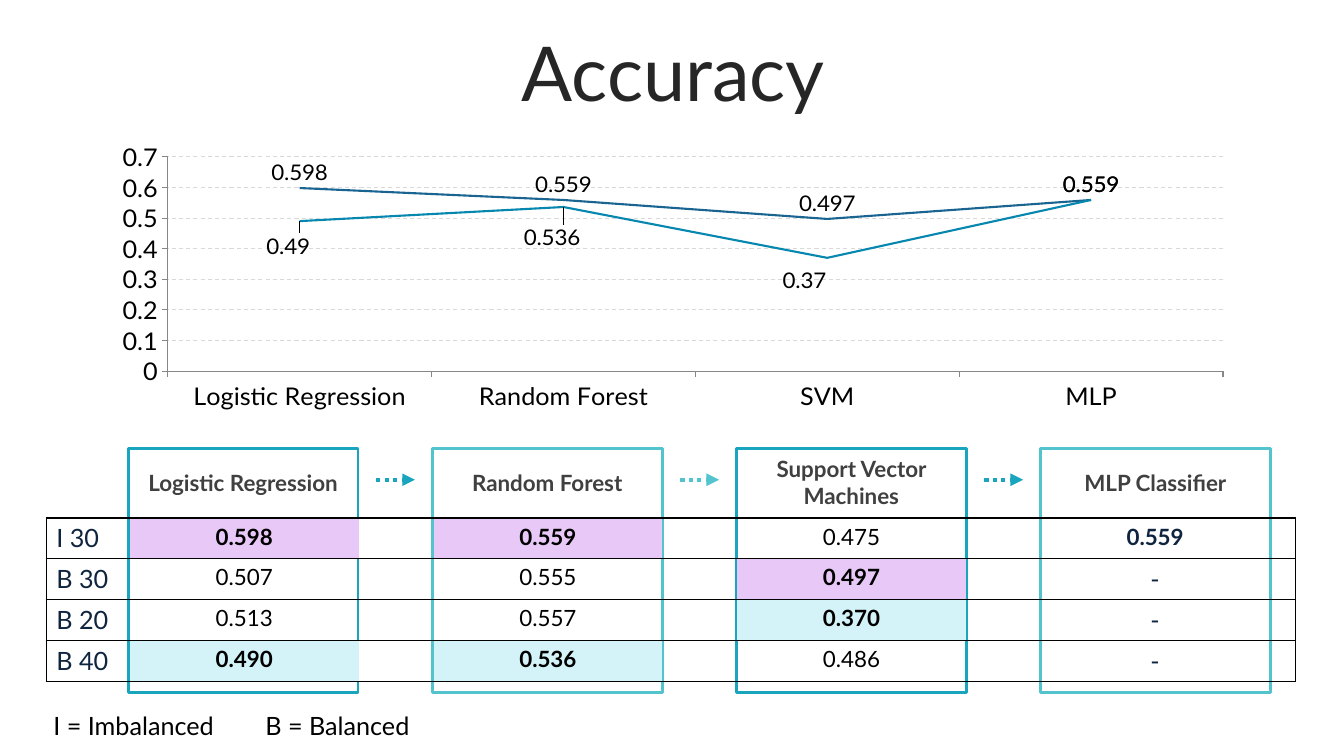
from dataclasses import dataclass

from lxml.etree import SubElement
from pptx import Presentation
from pptx.chart.data import CategoryChartData
from pptx.dml.color import RGBColor
from pptx.enum.chart import XL_CHART_TYPE as CT, XL_LABEL_POSITION as LP, XL_TICK_MARK as TM
from pptx.enum.dml import MSO_LINE
from pptx.enum.shapes import MSO_CONNECTOR, MSO_SHAPE
from pptx.enum.text import MSO_ANCHOR, PP_ALIGN
from pptx.oxml import parse_xml
from pptx.oxml.ns import nsdecls, qn
from pptx.util import Pt


@dataclass(frozen=True)
class Theme:
    font: str = "Lato"
    title: str = "262626"
    label: str = "404040"
    black: str = "000000"
    navy: str = "0F243E"
    grid: str = "D9D9D9"
    axis: str = "878787"
    best: str = "E8C8F6"
    worst: str = "D3F3F8"
    cards: tuple = ("19A5BE", "53C3CD")
    lines: tuple = ("196491", "0587AF")
    title_size: int = 54
    body_size: int = 18
    small_size: int = 16


T = Theme()
CARD_W, CARD_STEP, HEAD_H = 164.2, 217.2, 48
MODELS = ["Logistic Regression", "Random Forest", "Support Vector Machines", "MLP Classifier"]
SCORES = {
    "I 30": ["0.598", "0.559", "0.475", "0.559"],
    "B 30": ["0.507", "0.555", "0.497", "-"],
    "B 20": ["0.513", "0.557", "0.370", "-"],
    "B 40": ["0.490", "0.536", "0.486", "-"],
}


def rgb(value):
    return RGBColor.from_string(value)


def style_font(font, size, color, bold=False):
    for name, value in {"name": T.font, "size": Pt(size), "bold": bold}.items():
        setattr(font, name, value)
    font.color.rgb = rgb(color)


def write(tf, text, size, color, bold=False, align=PP_ALIGN.LEFT, tab=None):
    p = tf.paragraphs[0]
    if tab:
        tabs = SubElement(p._p.get_or_add_pPr(), qn("a:tabLst"))
        SubElement(tabs, qn("a:tab"), pos=str(Pt(tab)), algn="l")
    p.alignment = align
    r = p.add_run()
    r.text = text
    style_font(r.font, size, color, bold)
    return p


def place(sp, x, y, w, h):
    for name, value in {"left": x, "top": y, "width": w, "height": h}.items():
        setattr(sp, name, Pt(value))


def add_text(s, x, y, w, h, text, size, color, anchor=MSO_ANCHOR.TOP, **fmt):
    tf = s.shapes.add_textbox(Pt(x), Pt(y), Pt(w), Pt(h)).text_frame
    tf.word_wrap = True
    tf.vertical_anchor = anchor
    write(tf, text, size, color, **fmt)


def add_title(s, x, y, w, h):
    sp = s.shapes.title
    place(sp, x, y, w, h)
    sp.text_frame.vertical_anchor = MSO_ANCHOR.MIDDLE
    p = write(sp.text_frame, "Accuracy", T.title_size, T.title, align=PP_ALIGN.CENTER)
    p.line_spacing = 0.9


def manual_layout(x, y, w=None, h=None):
    size = f'<c:w val="{w}"/><c:h val="{h}"/>' if w else ""
    mode = ('<c:layoutTarget val="inner"/><c:xMode val="edge"/><c:yMode val="edge"/>'
            if w else "")
    return parse_xml(f'<c:layout {nsdecls("c")}><c:manualLayout>{mode}<c:x val="{x}"/>'
                     f'<c:y val="{y}"/>{size}</c:manualLayout></c:layout>')


def style_axes(chart):
    for axis in (chart.category_axis, chart.value_axis):
        axis.major_tick_mark = TM.OUTSIDE
        axis.minor_tick_mark = TM.NONE
        axis.format.line.color.rgb = rgb(T.axis)
        axis.format.line.width = Pt(0.75)
    value_axis = chart.value_axis
    limits = {"minimum_scale": 0, "maximum_scale": 0.7, "major_unit": 0.1}
    for name, value in limits.items():
        setattr(value_axis, name, value)
    value_axis.tick_labels.number_format = "General"
    value_axis.tick_labels.number_format_is_linked = False
    grid = value_axis.major_gridlines.format.line
    grid.color.rgb = rgb(T.grid)
    grid.width = Pt(0.75)
    grid.dash_style = MSO_LINE.DASH


def add_accuracy_chart(s, x, y, w, h):
    data = CategoryChartData()
    data.categories = ["Logistic Regression", "Random Forest", "SVM", "MLP"]
    data.add_series("Series 1", (0.598, 0.559, 0.497, 0.559))
    data.add_series("Series 2", (0.49, 0.536, 0.37, 0.559))
    chart = s.shapes.add_chart(CT.LINE, Pt(x), Pt(y), Pt(w), Pt(h), data).chart
    chart.has_legend = chart.has_title = False
    style_font(chart.font, T.body_size, T.black)
    style_axes(chart)
    plot = chart.plots[0]
    plot.vary_by_categories = False
    for series, color in zip(plot.series, T.lines):
        series.smooth = False
        series.format.line.color.rgb = rgb(color)
        series.format.line.width = Pt(1.5)
        labels = series.data_labels
        labels.show_value = True
        labels.position = LP.ABOVE
        style_font(labels.font, T.small_size, T.black)
    lower = plot.series[1]
    for i, (dx, dy) in enumerate([(-0.01, 0.03), (-0.01, 0.05), (-0.02, 0.02)]):
        label = lower.points[i].data_label
        style_font(label.font, T.small_size, T.black)
        label.position = LP.BELOW
    for point, (dx, dy) in zip(lower._element.iter(qn("c:dLbl")),
                               [(-0.01, 0.03), (-0.01, 0.05), (-0.02, 0.02)]):
        point.insert(1, manual_layout(dx, dy))
    area = chart._chartSpace.chart.plotArea
    for old in area.findall(qn("c:layout")):
        area.remove(old)
    area.insert(0, manual_layout(0.06, 0.02, 0.92, 0.81))


def add_arrow(s, x, y, length, color):
    c = s.shapes.add_connector(MSO_CONNECTOR.STRAIGHT, Pt(x), Pt(y), Pt(x + length), Pt(y))
    c.line.color.rgb = rgb(color)
    c.line.width = Pt(3)
    c.line.dash_style = MSO_LINE.ROUND_DOT
    SubElement(c._element.spPr.get_or_add_ln(), qn("a:tailEnd"), type="triangle")
    SubElement(c._element.spPr, qn("a:effectLst"))


def add_model_cards(s, x, y, h):
    for i, model in enumerate(MODELS):
        left, color = x + i * CARD_STEP, T.cards[i % 2]
        sp = s.shapes.add_shape(MSO_SHAPE.RECTANGLE, Pt(left), Pt(y), Pt(CARD_W), Pt(h))
        sp.shadow.inherit = False
        sp.fill.background()
        sp.line.color.rgb = rgb(color)
        sp.line.width = Pt(2)
        add_text(s, left, y, CARD_W, HEAD_H, model, T.small_size, T.label,
                 MSO_ANCHOR.MIDDLE, bold=True, align=PP_ALIGN.CENTER)
        if i < len(MODELS) - 1:
            add_arrow(s, left + CARD_W + 13, y + 22.3, 27.6, color)


def set_borders(cell, shown):
    tc_pr = cell._tc.get_or_add_tcPr()
    for i, side in enumerate("LRTB"):
        fill = (f'<a:solidFill><a:srgbClr val="{T.black}"/></a:solidFill>'
                if side in shown else "<a:noFill/>")
        tc_pr.insert(i, parse_xml(f'<a:ln{side} {nsdecls("a")} w="{Pt(1)}">{fill}</a:ln{side}>'))


def add_score_table(s, x, y, w, h):
    widths = [59.8] + [163.4, 53.5] * 3 + [163.4, 18.7]
    frame = s.shapes.add_table(len(SCORES), len(widths), Pt(x), Pt(y), Pt(w), Pt(h))
    table = frame.table
    table.first_row = table.horz_banding = False
    for column, width in zip(table.columns, widths):
        column.width = Pt(width)
    columns = list(zip(*SCORES.values()))
    for i, (name, scores) in enumerate(SCORES.items()):
        table.rows[i].height = Pt(h / len(SCORES))
        for j in range(len(widths)):
            cell = table.cell(i, j)
            cell.fill.background()
            set_borders(cell, "TB" + {0: "L", len(widths) - 1: "R"}.get(j, ""))
            if j % 2 == 0 and j:
                style_font(cell.text_frame.paragraphs[0].font, T.small_size, T.black)
        write(table.cell(i, 0).text_frame, name, T.body_size, T.navy)
        for j, score in enumerate(scores):
            cell = table.cell(i, 2 * j + 1)
            compared = "-" not in columns[j]
            marks = {min(columns[j]): T.worst, max(columns[j]): T.best} if compared else {}
            if score in marks:
                cell.fill.solid()
                cell.fill.fore_color.rgb = rgb(marks[score])
            write(cell.text_frame, score, T.body_size if score == "-" else T.small_size,
                  T.black if compared else T.navy, align=PP_ALIGN.CENTER,
                  bold=score in marks or (not compared and score != "-"))


def build_accuracy_slide(prs):
    s = prs.slides.add_slide(prs.slide_layouts[5])
    add_title(s, 25.2, 26.6, 911.5, 56.9)
    add_model_cards(s, 91.6, 320.4, 174.2)
    add_accuracy_chart(s, 70.6, 101.5, 819.4, 195.8)
    add_score_table(s, 33, 370, 892.6, 116.8)
    add_text(s, 31, 504, 298.8, 28.8, "I = Imbalanced\tB = Balanced",
             T.body_size, T.black, tab=151.4)


def main():
    prs = Presentation()
    prs.slide_width, prs.slide_height = Pt(960), Pt(540)
    build_accuracy_slide(prs)
    prs.save("out.pptx")


if __name__ == "__main__":
    main()
